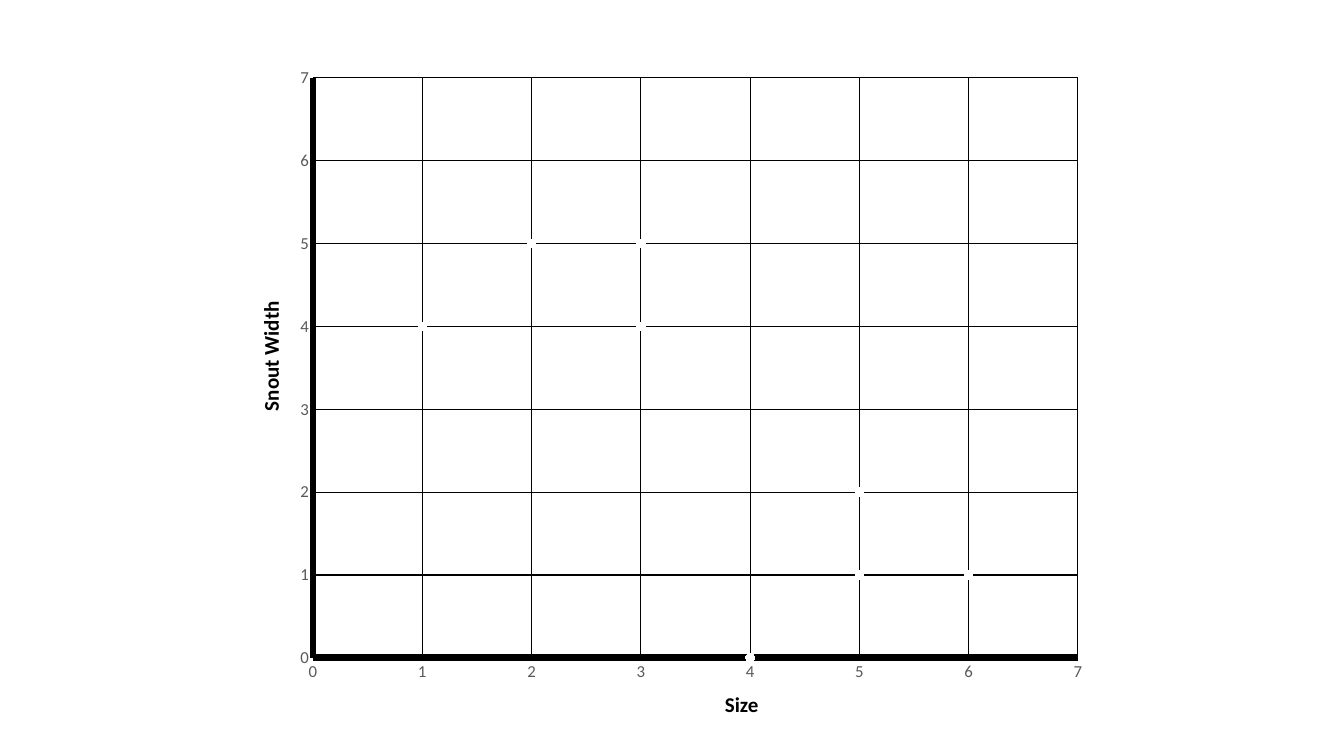
from lxml.etree import SubElement
from pptx import Presentation
from pptx.chart.data import XyChartData
from pptx.dml.color import RGBColor
from pptx.enum.chart import XL_CHART_TYPE, XL_MARKER_STYLE, XL_TICK_MARK
from pptx.oxml.ns import qn
from pptx.util import Pt

POINTS = [(1, 4), (2, 5), (3, 5), (3, 4), (6, 1), (4, 0), (5, 2), (5, 1)]
AXIS_TITLES = [
    ("Size", (715, 687, 65, 43), "horz"),
    ("Snout Width", (253, 279, 122, 142), "vert270"),
]
COLORS = {"line": "000000", "label": "595959", "point": "FFFFFF"}
FONT = "Calibri"
SLIDE_SIZE = (1344, 756)
CHART_BOX = (281, 61, 809, 644)
PLOT_BOX = (313, 78, 765, 580)
EMU_PER_PX = 914400 / 100.8
TITLE_FORMAT = {"name": FONT, "size": Pt(15), "bold": True}
LABEL_FORMAT = {"name": FONT, "size": Pt(12), "bold": False}
AXIS_FORMAT = {
    "minimum_scale": 0,
    "maximum_scale": 7,
    "major_unit": 1,
    "has_title": False,
    "has_major_gridlines": True,
    "major_tick_mark": XL_TICK_MARK.NONE,
    "minor_tick_mark": XL_TICK_MARK.NONE,
}


def emu(*lengths):
    return [round(length * EMU_PER_PX) for length in lengths]


def color(name):
    return RGBColor.from_string(COLORS[name])


def apply(target, values):
    for name, value in values.items():
        setattr(target, name, value)


def format_font(font, values, color_name):
    apply(font, values)
    font.color.rgb = color(color_name)


def format_line(line, width):
    line.color.rgb = color("line")
    line.width = Pt(width)


def format_axis(axis):
    apply(axis, AXIS_FORMAT)
    format_line(axis.format.line, 5)
    format_line(axis.major_gridlines.format.line, 0.75)
    axis.tick_labels.number_format = "General"
    axis.tick_labels.number_format_is_linked = False
    format_font(axis.tick_labels.font, LABEL_FORMAT, "label")


def place_plot(chart):
    plot_area = chart.element.find(".//" + qn("c:plotArea"))
    for layout in plot_area.findall(qn("c:layout")):
        plot_area.remove(layout)
    layout = SubElement(plot_area, qn("c:layout"))
    plot_area.insert(0, layout)
    manual = SubElement(layout, qn("c:manualLayout"))
    left, top, width, height = CHART_BOX
    plot_left, plot_top, plot_width, plot_height = PLOT_BOX
    values = {
        "layoutTarget": "inner",
        "xMode": "edge",
        "yMode": "edge",
        "x": (plot_left - left) / width,
        "y": (plot_top - top) / height,
        "w": plot_width / width,
        "h": plot_height / height,
    }
    for name, value in values.items():
        SubElement(manual, qn("c:" + name)).set("val", str(value))


def add_scatter(slide):
    data = XyChartData()
    points = data.add_series("Series 1")
    for size, snout_width in POINTS:
        points.add_data_point(size, snout_width)
    frame = slide.shapes.add_chart(XL_CHART_TYPE.XY_SCATTER, *emu(*CHART_BOX), data)
    chart = frame.chart
    apply(chart, {"has_legend": False, "has_title": False})
    format_font(chart.font, {"name": FONT, "size": Pt(10)}, "line")
    for axis in (chart.category_axis, chart.value_axis):
        format_axis(axis)
    place_plot(chart)
    chart.plots[0].vary_by_categories = False
    series = chart.plots[0].series[0]
    series.smooth = False
    series.format.line.fill.background()
    apply(series.marker, {"style": XL_MARKER_STYLE.CIRCLE, "size": 6})
    for fill in (series.marker.format.fill, series.marker.format.line.fill):
        fill.solid()
        fill.fore_color.rgb = color("point")


def add_axis_title(slide, text, box, direction):
    shape = slide.shapes.add_textbox(*emu(*box))
    shape.text_frame.word_wrap = True
    shape.element.txBody.bodyPr.set("vert", direction)
    run = shape.text_frame.paragraphs[0].add_run()
    run.text = text
    format_font(run.font, TITLE_FORMAT, "line")


def main():
    presentation = Presentation()
    presentation.slide_width, presentation.slide_height = emu(*SLIDE_SIZE)
    slide = presentation.slides.add_slide(presentation.slide_layouts[6])
    for title in AXIS_TITLES:
        add_axis_title(slide, *title)
    add_scatter(slide)
    presentation.save("out.pptx")


if __name__ == "__main__":
    main()
